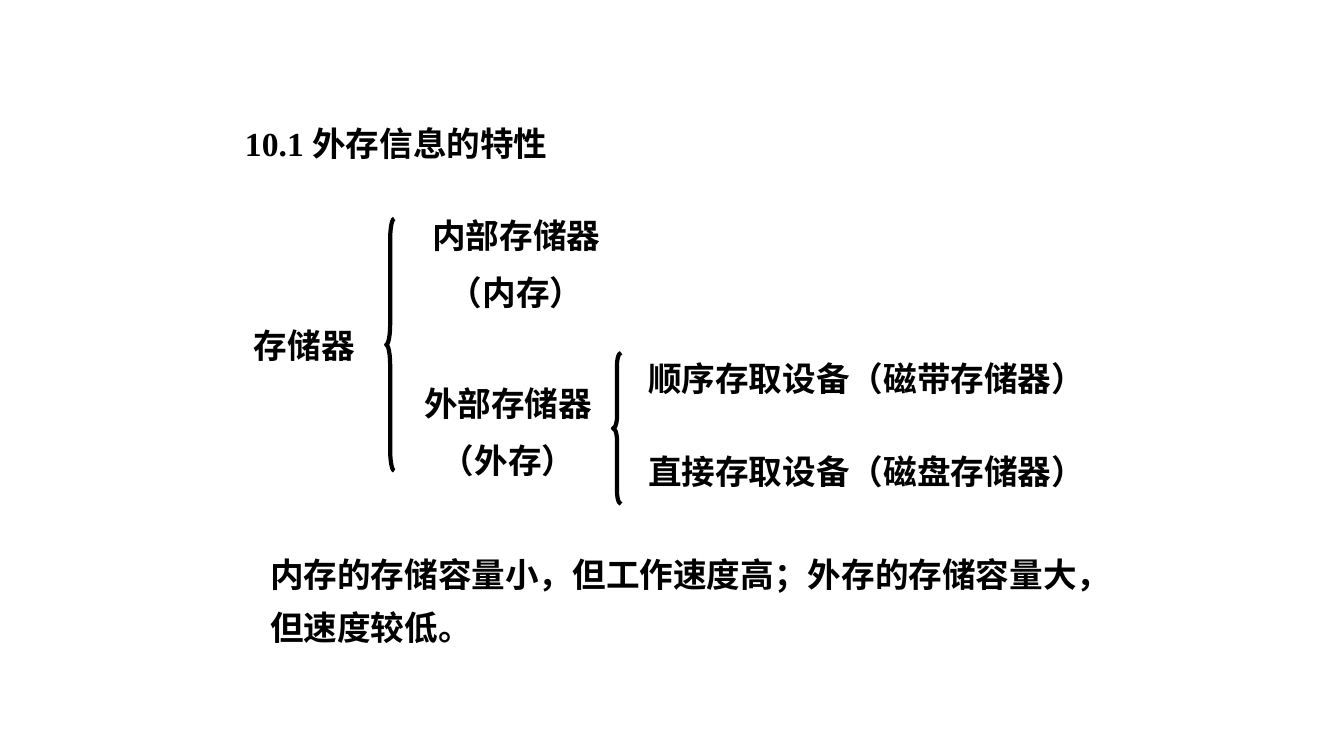
from pptx import Presentation
from pptx.dml.color import RGBColor
from pptx.enum.shapes import MSO_SHAPE
from pptx.enum.text import MSO_ANCHOR, MSO_AUTO_SIZE, PP_ALIGN
from pptx.util import Inches, Pt

BLACK = RGBColor(0, 0, 0)
FONT = "Times New Roman"
LEFT, CENTER = PP_ALIGN.LEFT, PP_ALIGN.CENTER

TITLE = ("10.1 外存信息的特性", (2.33, 1.17, 8.75, 0.5))
LABELS = [
    (["存储器"], (2.42, 3.17, 1.25, 0.5), LEFT, 1),
    (["内部存储器", "（内存）"], (4.08, 2.08, 2.08, 1.11), CENTER, 1),
    (["外部存储器", "（外存）"], (4, 3.75, 2.08, 1.11), CENTER, 1),
    (["顺序存取设备（磁带存储器）"], (6.33, 3.5, 4.75, 0.5), LEFT, 1),
    (["直接存取设备（磁盘存储器）"], (6.33, 4.42, 4.75, 0.5), LEFT, 1),
    (["内存的存储容量小，但工作速度高；外存的存储容量大，但速度较低。"],
     (2.58, 5.33, 8.42, 1.09), LEFT, 1.3),
]
BRACES = [(3.83, 2.17, 2.5), (6.08, 3.5, 1.5)]
BRACE_WIDTH = 0.08


def write(tf, lines, align, spacing):
    tf.word_wrap = True
    tf.auto_size = MSO_AUTO_SIZE.NONE
    tf.vertical_anchor = MSO_ANCHOR.TOP
    for i, line in enumerate(lines):
        p = tf.add_paragraph() if i else tf.paragraphs[0]
        p.alignment = align
        p.line_spacing = spacing
        p.space_before = Pt(12 if i else 0)
        r = p.add_run()
        r.text = line
        r.font.name = FONT
        r.font.size = Pt(24)
        r.font.bold = True
        r.font.color.rgb = BLACK


def main():
    prs = Presentation()
    prs.slide_width, prs.slide_height = Inches(13.33), Inches(7.5)
    s = prs.slides.add_slide(prs.slide_layouts[5])

    text, box = TITLE
    title = s.shapes.title
    title.left, title.top, title.width, title.height = map(Inches, box)
    write(title.text_frame, [text], LEFT, 1)

    for lines, box, align, spacing in LABELS:
        label = s.shapes.add_textbox(*map(Inches, box))
        write(label.text_frame, lines, align, spacing)

    for x, y, height in BRACES:
        brace = s.shapes.add_shape(MSO_SHAPE.LEFT_BRACE, Inches(x), Inches(y),
                                   Inches(BRACE_WIDTH), Inches(height))
        brace.adjustments[0] = height
        brace.adjustments[1] = 0.5
        brace.shadow.inherit = False
        brace.fill.background()
        brace.line.color.rgb = BLACK
        brace.line.width = Pt(3)

    prs.save("out.pptx")


if __name__ == "__main__":
    main()
